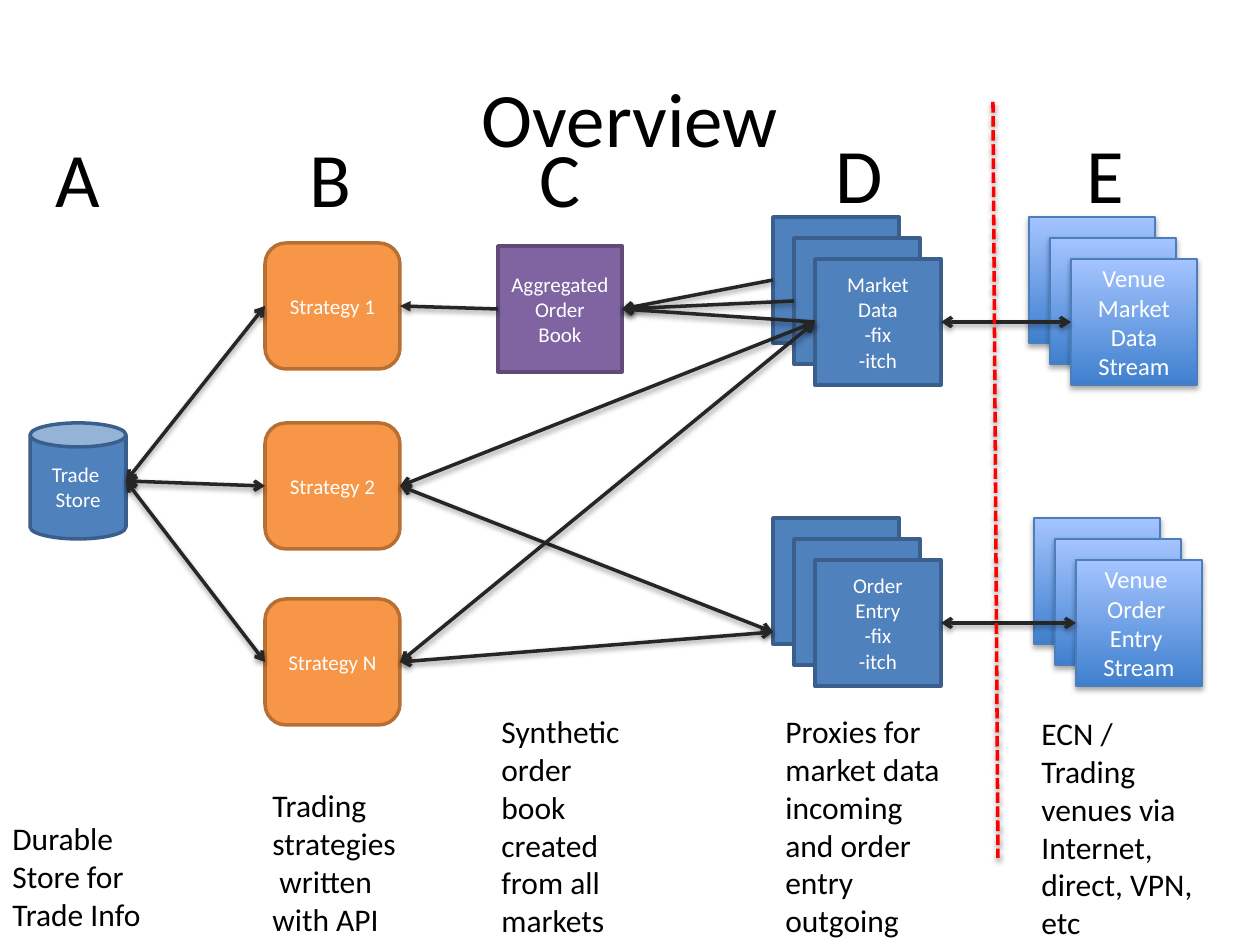
import pptx
import pptx.util
import pptx.dml.color
import pptx.enum.dml
import pptx.enum.shapes
import pptx.enum.text
import pptx.oxml
import pptx.oxml.ns

SHAPE = pptx.enum.shapes.MSO_SHAPE
ALIGN = pptx.enum.text.PP_ALIGN
ANCHOR = pptx.enum.text.MSO_ANCHOR
DRAWING_NS = pptx.oxml.ns.nsdecls("a")


def px(length):
    """Turn picture pixels into EMU."""
    return pptx.util.Emu(round(length * 914400 / 126))


def color(code):
    """Turn a hex string into a colour."""
    return pptx.dml.color.RGBColor.from_string(code)


def left_of(shape):
    """Give the middle of the left edge in EMU."""
    return shape.left, shape.top + shape.height // 2


def right_of(shape):
    """Give the middle of the right edge in EMU."""
    return shape.left + shape.width, shape.top + shape.height // 2


def add_shadow(shape, distance, opacity):
    """Add a soft shadow that falls straight down."""
    shape._element.spPr.append(pptx.oxml.parse_xml(
        f'<a:effectLst {DRAWING_NS}><a:outerShdw blurRad="40000" dist="{distance}" '
        f'dir="5400000" rotWithShape="0"><a:srgbClr val="000000">'
        f'<a:alpha val="{opacity}"/></a:srgbClr></a:outerShdw></a:effectLst>'))


class Diagram:
    """Holds the style and the current slide."""
    font = "Calibri"
    ink = "262626"
    blue = ("4F81BD", "3A5F8C")
    orange = ("F79646", "B76F34")
    purple = ("8064A2", "5F4A78")
    venue_line, venue_dark, venue_light = "4B7EBC", "3F80CE", "A4C4FF"

    def __init__(self, page):
        """Keep the slide to draw on."""
        self.page = page

    def fill_text(self, frame, lines, size, code, align, anchor):
        """Set one paragraph for each line."""
        frame.word_wrap = True
        frame.vertical_anchor = anchor
        for index, line in enumerate(lines):
            para = frame.add_paragraph() if index else frame.paragraphs[0]
            para.alignment = align
            span = para.add_run()
            span.text = line
            span.font.name = self.font
            span.font.size = pptx.util.Pt(size)
            span.font.color.rgb = color(code)

    def title(self, text, *place):
        """Place and fill the title."""
        box = self.page.shapes.title
        box.left, box.top, box.width, box.height = map(px, place)
        self.fill_text(box.text_frame, [text], 44, "000000", ALIGN.CENTER, ANCHOR.MIDDLE)

    def letter(self, text, left, top):
        """Add a large column letter."""
        box = self.page.shapes.add_textbox(px(left), px(top), px(96), px(101))
        self.fill_text(box.text_frame, [text], 44, "000000", ALIGN.CENTER, ANCHOR.MIDDLE)

    def caption(self, lines, *place):
        """Add the description below a column."""
        box = self.page.shapes.add_textbox(*map(px, place))
        self.fill_text(box.text_frame, lines, 18, "000000", ALIGN.LEFT, ANCHOR.TOP)
        box.text_frame.auto_size = pptx.enum.text.MSO_AUTO_SIZE.SHAPE_TO_FIT_TEXT

    def node(self, kind, lines, colors, *place):
        """Add a filled shape with a thick outline."""
        box = self.page.shapes.add_shape(kind, *map(px, place))
        box.shadow.inherit = False
        box.fill.solid()
        box.fill.fore_color.rgb = color(colors[0])
        box.line.color.rgb = color(colors[1])
        box.line.width = pptx.util.Pt(2)
        self.fill_text(box.text_frame, lines, 12, "FFFFFF", ALIGN.CENTER, ANCHOR.MIDDLE)
        return box

    def venue(self, lines, *place):
        """Add a shaded square with a thin outline."""
        box = self.page.shapes.add_shape(SHAPE.RECTANGLE, *map(px, place))
        box.fill.gradient()
        box.fill.gradient_angle = 90
        for stop, code in zip(box.fill.gradient_stops, (self.venue_dark, self.venue_light)):
            stop.color.rgb = color(code)
        box.line.color.rgb = color(self.venue_line)
        box.line.width = pptx.util.Pt(0.75)
        add_shadow(box, 23000, 35000)
        self.fill_text(box.text_frame, lines, 14, "FFFFFF", ALIGN.CENTER, ANCHOR.MIDDLE)
        return box

    def stack(self, lines, left, top, is_venue=False):
        """Add three overlapping squares with the text on the front one."""
        boxes = []
        for index in range(3):
            text = lines if index == 2 else []
            place = (left + 21 * index, top + 21 * index, 126, 126)
            boxes.append(self.venue(text, *place) if is_venue
                         else self.node(SHAPE.RECTANGLE, text, self.blue, *place))
        return boxes

    def link(self, start, end, head=None, tail="arrow", code=ink, dash=None):
        """Join two points with a shadowed line and optional arrowheads."""
        line = self.page.shapes.add_connector(
            pptx.enum.shapes.MSO_CONNECTOR.STRAIGHT, *start, *end)
        line.line.color.rgb = color(code)
        line.line.width = pptx.util.Pt(2)
        if dash:
            line.line.dash_style = dash
        outline = line.line._get_or_add_ln()
        for tag, kind in (("headEnd", head), ("tailEnd", tail)):
            if kind:
                outline.append(pptx.oxml.parse_xml(f'<a:{tag} {DRAWING_NS} type="{kind}"/>'))
        add_shadow(line, 20000, 38000)


deck = pptx.Presentation()
deck.slide_width, deck.slide_height = px(1260), px(945)
diagram = Diagram(deck.slides.add_slide(deck.slide_layouts[5]))
diagram.title("Overview", 63, 38, 1134, 158)

store = diagram.node(SHAPE.CAN, ["Trade ", "Store"], diagram.blue, 30, 423, 96, 116)
strategies = [
    diagram.node(SHAPE.ROUNDED_RECTANGLE, [f"Strategy {name}"], diagram.orange,
                 265, top, 135, 126)
    for name, top in (("1", 243), ("2", 423), ("N", 599))]
book = diagram.node(SHAPE.RECTANGLE, ["Aggregated ", "Order", "Book"],
                    diagram.purple, 498, 246, 124, 126)
market = diagram.stack(["Market", "Data", "-fix", "-itch"], 773, 217)
orders = diagram.stack(["Order", "Entry", "-fix", "-itch"], 773, 518)
market_venue = diagram.stack(["Venue", "Market Data Stream"], 1029, 217, True)
order_venue = diagram.stack(["Venue ", "Order ", "Entry ", "Stream"], 1034, 518, True)

diagram.link(left_of(book), right_of(strategies[0]), tail="triangle")
for proxy in market:
    diagram.link(left_of(proxy), right_of(book))
for strategy in strategies:
    diagram.link(right_of(store), left_of(strategy), head="arrow")
order_entry = (px(773), px(632))
for strategy in strategies[1:]:
    for target in (left_of(market[-1]), order_entry):
        diagram.link(right_of(strategy), target, head="arrow")
for venue, proxy in ((market_venue, market), (order_venue, orders)):
    diagram.link(left_of(venue[-1]), right_of(proxy[-1]), head="arrow")
diagram.link((px(993), px(102)), (px(998), px(858)), tail=None, code="FF0000",
             dash=pptx.enum.dml.MSO_LINE.SQUARE_DOT)

for lines, *place in (
        (["Durable ", "Store for Trade Info"], 0, 813, 181, 127),
        (["Trading strategies", " written with API"], 260, 780, 176, 165),
        (["Synthetic order book created from all markets"], 489, 706, 160, 242),
        (["Proxies for market data incoming ", "and order entry outgoing"],
         773, 706, 203, 242),
        (["ECN / Trading", "venues via Internet, direct, VPN, etc"],
         1029, 708, 180, 242)):
    diagram.caption(lines, *place)

for text, left, top in (("A", 30, 126), ("B", 282, 126), ("C", 512, 126),
                        ("D", 811, 122), ("E", 1057, 122)):
    diagram.letter(text, left, top)

deck.save("out.pptx")
